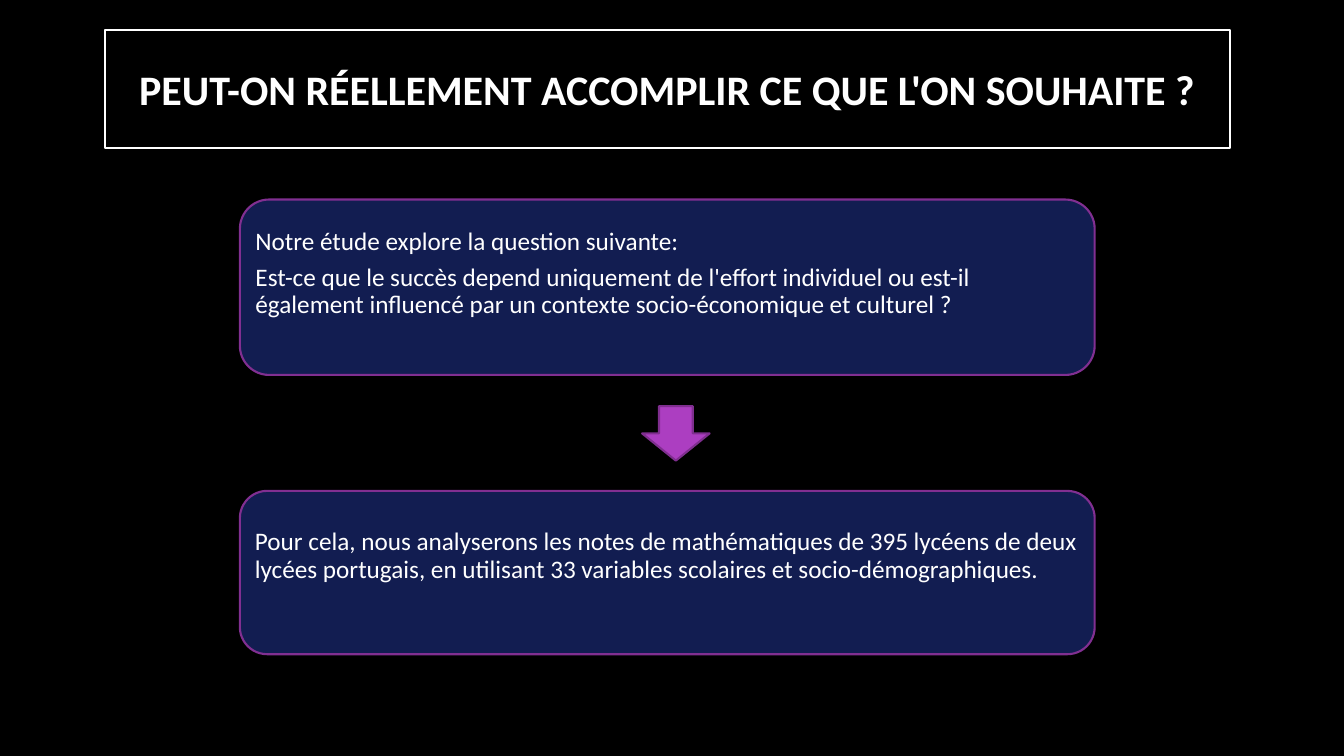
from dataclasses import dataclass

import pptx
import pptx.dml.color
import pptx.enum.shapes
import pptx.enum.text
import pptx.presentation
import pptx.shapes.autoshape
import pptx.slide
import pptx.util

RGBColor = pptx.dml.color.RGBColor
Preset = pptx.enum.shapes.MSO_SHAPE
Align = pptx.enum.text.PP_ALIGN
Anchor = pptx.enum.text.MSO_ANCHOR

BLACK = RGBColor(0x00, 0x00, 0x00)
WHITE = RGBColor(0xFF, 0xFF, 0xFF)
NAVY = RGBColor(0x12, 0x1D, 0x51)
PURPLE = RGBColor(0xAC, 0x3E, 0xC1)
CARD_BORDER = RGBColor(0x81, 0x2F, 0x91)
ARROW_BORDER = RGBColor(0x7F, 0x2E, 0x8F)

SLIDE_WIDTH = pptx.util.Inches(13.33)
SLIDE_HEIGHT = pptx.util.Inches(7.5)
COLUMNS = 160
ROWS = 90
CARD_LEFT = 28.56
CARD_WIDTH = 101.76


@dataclass(frozen=True)
class Area:
    column: float
    row: float
    columns: float
    rows: float


@dataclass(frozen=True)
class Card:
    row: float
    rows: float
    text_offset: float
    paragraphs: tuple[str, ...]


CARDS = (
    Card(23.76, 20.88, 2.4, (
        "Notre étude explore la question suivante:",
        "Est-ce que le succès depend uniquement de l'effort individuel ou est-il "
        "également influencé par un contexte socio-économique et culturel ?",
    )),
    Card(58.44, 19.44, 3.6, (
        "Pour cela, nous analyserons les notes de mathématiques de 395 lycéens de deux "
        "lycées portugais, en utilisant 33 variables scolaires et socio-démographiques.",
    )),
)


def across(columns: float) -> int:
    return round(SLIDE_WIDTH * columns / COLUMNS)


def down(rows: float) -> int:
    return round(SLIDE_HEIGHT * rows / ROWS)


def add_block(
    slide: pptx.slide.Slide,
    preset: Preset,
    area: Area,
    fill: RGBColor | None,
    border: RGBColor,
) -> pptx.shapes.autoshape.Shape:
    shape = slide.shapes.add_shape(
        preset, across(area.column), down(area.row), across(area.columns), down(area.rows)
    )
    shape.shadow.inherit = False
    if fill is None:
        shape.fill.background()
    else:
        shape.fill.solid()
        shape.fill.fore_color.rgb = fill
    shape.line.color.rgb = border
    shape.line.width = pptx.util.Pt(1.5)
    return shape


def write_paragraphs(
    shape: pptx.shapes.autoshape.Shape,
    texts: tuple[str, ...],
    size: float,
    bold: bool,
    alignment: Align,
    line_spacing: float,
    space_after: float,
) -> None:
    frame = shape.text_frame
    frame.word_wrap = True
    for index, text in enumerate(texts):
        paragraph = frame.paragraphs[0] if index == 0 else frame.add_paragraph()
        paragraph.alignment = alignment
        paragraph.line_spacing = line_spacing
        paragraph.space_after = pptx.util.Pt(space_after)
        run = paragraph.add_run()
        run.text = text
        run.font.name = "Calibri"
        run.font.size = pptx.util.Pt(size)
        run.font.bold = bold
        run.font.color.rgb = WHITE


def add_title(slide: pptx.slide.Slide) -> None:
    title = add_block(slide, Preset.RECTANGLE, Area(12.5, 3.6, 133.92, 14.04), None, WHITE)
    title.text_frame.vertical_anchor = Anchor.MIDDLE
    texts = ("PEUT-ON RÉELLEMENT ACCOMPLIR CE QUE L'ON SOUHAITE ?",)
    write_paragraphs(title, texts, 30, True, Align.CENTER, 1.0, 0)


def add_card(slide: pptx.slide.Slide, card: Card) -> None:
    area = Area(CARD_LEFT, card.row, CARD_WIDTH, card.rows)
    shape = add_block(slide, Preset.ROUNDED_RECTANGLE, area, NAVY, CARD_BORDER)
    frame = shape.text_frame
    frame.vertical_anchor = Anchor.TOP
    frame.margin_left = across(0.84)
    frame.margin_right = across(0.72)
    frame.margin_top = down(card.text_offset)
    frame.margin_bottom = 0
    write_paragraphs(shape, card.paragraphs, 18, False, Align.LEFT, 0.9, 6.3)


def main() -> None:
    presentation = pptx.Presentation()
    presentation.slide_width = SLIDE_WIDTH
    presentation.slide_height = SLIDE_HEIGHT
    slide = presentation.slides.add_slide(presentation.slide_layouts[6])
    slide.background.fill.solid()
    slide.background.fill.fore_color.rgb = BLACK
    add_title(slide)
    for card in CARDS:
        add_card(slide, card)
    add_block(slide, Preset.DOWN_ARROW, Area(76.44, 48.36, 8.04, 6.48), PURPLE, ARROW_BORDER)
    presentation.save("out.pptx")


if __name__ == "__main__":
    main()
